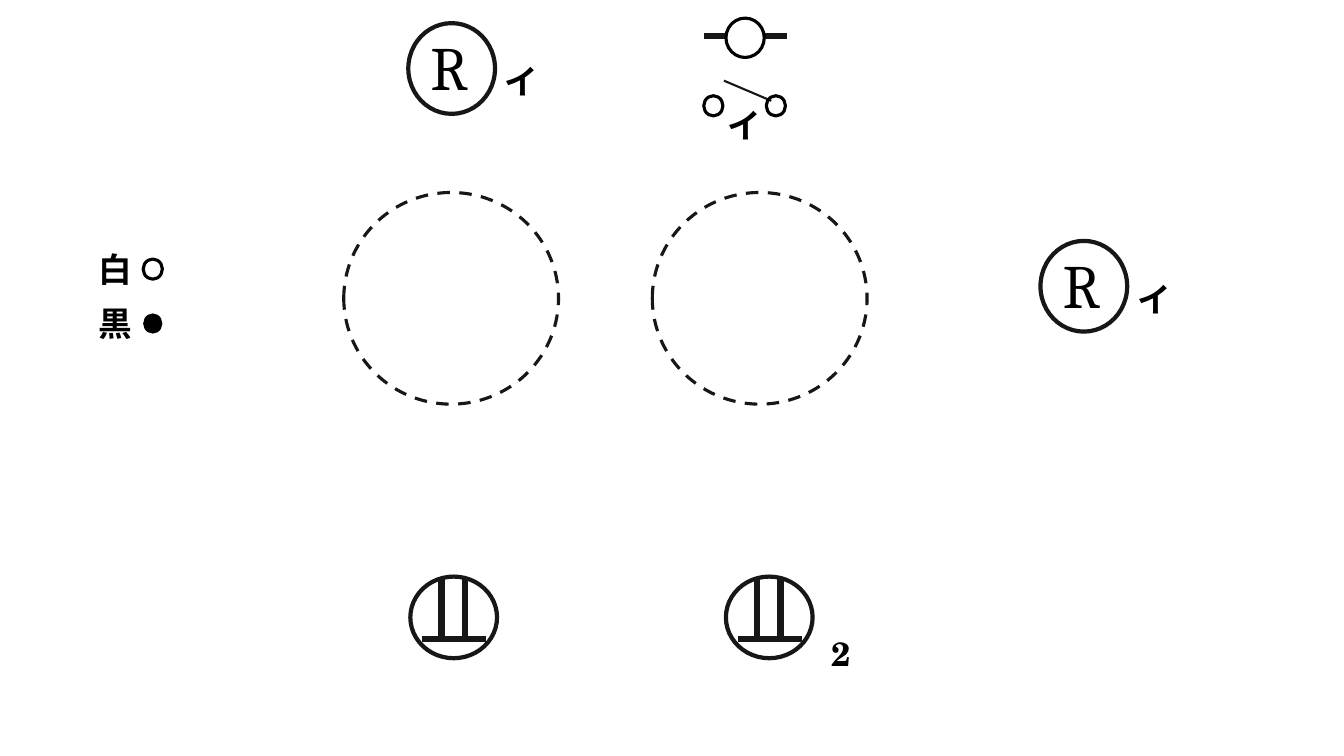
from dataclasses import dataclass

from lxml import etree
from pptx import Presentation
from pptx import util as u
from pptx.dml.color import RGBColor
from pptx.enum import dml, shapes, text
from pptx.oxml import ns


@dataclass(frozen=True)
class Theme:
    ink: str = "181717"
    black: str = "000000"
    white: str = "FFFFFF"
    label_font: str = "TeX Gyre Schola"
    symbol_font: str = "Cambria"
    label_size: int = 24
    symbol_size: int = 44
    thin: float = 1.5
    medium: float = 2.25
    outline: float = 3
    bar: float = 4.5


class Diagram:
    def __init__(self, slide, theme):
        self.slide = slide
        self.theme = theme

    def ellipse(self, left, top, width, height, fill=None, line=None,
                weight=Theme.medium, dashed=False):
        shape = self.slide.shapes.add_shape(
            shapes.MSO_SHAPE.OVAL, u.Inches(left), u.Inches(top),
            u.Inches(width), u.Inches(height))
        shape.shadow.inherit = False
        if fill:
            shape.fill.solid()
            shape.fill.fore_color.rgb = RGBColor.from_string(fill)
        else:
            shape.fill.background()
        if line:
            shape.line.color.rgb = RGBColor.from_string(line)
            shape.line.width = u.Pt(weight)
        else:
            shape.line.fill.background()
        if dashed:
            shape.line.dash_style = dml.MSO_LINE.DASH

    def line(self, x1, y1, x2, y2, weight):
        connector = self.slide.shapes.add_connector(
            shapes.MSO_CONNECTOR.STRAIGHT, u.Inches(x1), u.Inches(y1),
            u.Inches(x2), u.Inches(y2))
        connector.line.color.rgb = RGBColor.from_string(self.theme.ink)
        connector.line.width = u.Pt(weight)
        etree.SubElement(connector._element.spPr, ns.qn("a:effectLst"))

    def label(self, words, left, top, width=0.54, height=0.5,
              symbol=False, wrap=False):
        theme = self.theme
        box = self.slide.shapes.add_textbox(
            u.Inches(left), u.Inches(top), u.Inches(width), u.Inches(height))
        frame = box.text_frame
        frame.word_wrap = wrap
        frame.auto_size = text.MSO_AUTO_SIZE.SHAPE_TO_FIT_TEXT
        run = frame.paragraphs[0].add_run()
        run.text = words
        run.font.name = theme.symbol_font if symbol else theme.label_font
        run.font.size = u.Pt(theme.symbol_size if symbol else theme.label_size)
        run.font.bold = not symbol
        run.font.color.rgb = RGBColor.from_string(theme.black)

    def lamp(self, left, top):
        theme = self.theme
        self.ellipse(left, top, 0.86, 0.9, theme.white, theme.ink, theme.outline)
        self.label("R", left + 0.12, top + 0.01, 0.59, 0.84, symbol=True)
        self.label("イ", left + 0.86, top + 0.33)

    def outlet(self, left, top):
        theme = self.theme
        self.ellipse(left, top, 0.86, 0.81, theme.white, theme.ink, theme.outline)
        self.line(left + 0.12, top + 0.62, left + 0.75, top + 0.62, theme.bar)
        for offset in (0.31, 0.54):
            self.line(left + offset, top, left + offset, top + 0.61, theme.bar)

    def terminal(self, left, top, filled=False):
        theme = self.theme
        self.ellipse(left, top, 0.19, 0.2, theme.black if filled else None,
                     None if filled else theme.black)


presentation = Presentation()
presentation.slide_width = u.Inches(13.33)
presentation.slide_height = u.Inches(7.5)
theme = Theme()
diagram = Diagram(
    presentation.slides.add_slide(presentation.slide_layouts[6]), theme)

# Lamp receptacles
for left, top in ((4.05, 0.23), (10.32, 2.39)):
    diagram.lamp(left, top)

# Pilot lamp
diagram.line(6.98, 0.36, 7.81, 0.36, theme.bar)
diagram.ellipse(7.2, 0.18, 0.38, 0.39, theme.white, theme.black)

# Switch
diagram.line(7.18, 0.8, 7.65, 1, theme.thin)
for left in (6.98, 7.6):
    diagram.terminal(left, 0.95)
diagram.label("イ", 7.12, 0.99)

# Power supply wires
for color_name, top, filled in (("白", 2.42, False), ("黒", 2.96, True)):
    diagram.label(color_name, 0.88, top)
    diagram.terminal(1.42, top + 0.15, filled)

# Junction boxes
for left in (3.41, 6.47):
    diagram.ellipse(left, 1.91, 2.13, 2.1, theme.white, theme.ink, dashed=True)

# Outlets, single and double
for left in (4.07, 7.2):
    diagram.outlet(left, 5.72)
diagram.label("2", 8.15, 6.23, width=0.67, wrap=True)

presentation.save("out.pptx")
